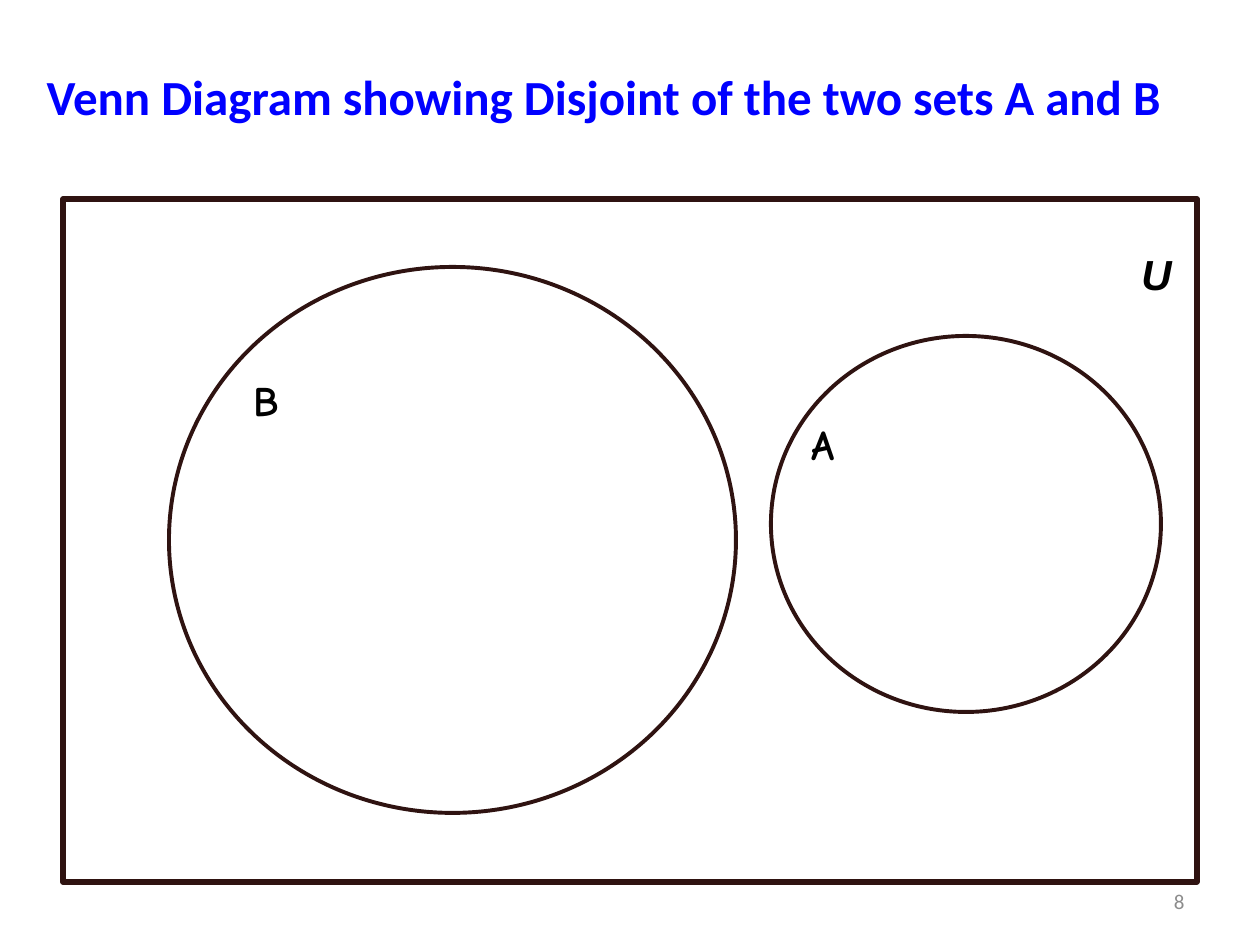
from pptx import Presentation
from pptx.dml.color import RGBColor
from pptx.enum.shapes import MSO_SHAPE
from pptx.enum.text import MSO_ANCHOR, PP_ALIGN
from pptx.util import Emu, Pt

RECT, OVAL = MSO_SHAPE.RECTANGLE, MSO_SHAPE.OVAL
LEFT, CENTER, RIGHT = PP_ALIGN.LEFT, PP_ALIGN.CENTER, PP_ALIGN.RIGHT
TOP, MIDDLE = MSO_ANCHOR.TOP, MSO_ANCHOR.MIDDLE

PX = 914400 // 126
SLIDE = (1260, 945)

THEME = {
    "title": {"font": "Calibri", "size": 28, "color": "0000FF", "bold": True},
    "set": {"font": "Comic Neue", "size": 24, "color": "000000", "bold": True},
    "universe": {"font": "Arial", "size": 24, "color": "000000", "bold": True, "italic": True},
    "number": {"font": "Calibri", "size": 12, "color": "8C8C8C"},
    "outline": "2F1311",
}

# Boxes are (left, top, width, height) in px
TITLE = ("Venn Diagram showing Disjoint of the two sets A and B ", (21, 21, 1176, 158))
OUTLINES = [
    (RECT, (63, 199, 1134, 683), 3),       # universe
    (OVAL, (169, 267, 567, 546), 2.25),    # set B
    (OVAL, (771, 336, 390, 376), 2.25),    # set A
]
LABELS = [
    ("A", (799, 418, 88, 81), "set", {"spacing": 0.9}),
    ("B", (241, 374, 96, 67), "set", {"spacing": 0.9}),
    ("U", (1129, 242, 68, 64), "universe", {"wrap": False}),
    ("8", (903, 876, 294, 50), "number", {"align": RIGHT, "anchor": MIDDLE}),
]


def emu(box):
    return [Emu(v * PX) for v in box]


def write(sp, text, style, align=LEFT, anchor=TOP, spacing=1.0, wrap=True):
    tf = sp.text_frame
    tf.word_wrap = wrap
    tf.vertical_anchor = anchor
    p = tf.paragraphs[0]
    p.alignment = align
    p.line_spacing = spacing
    r = p.add_run()
    r.text = text
    look = THEME[style]
    r.font.name = look["font"]
    r.font.size = Pt(look["size"])
    r.font.bold = look.get("bold", False)
    r.font.italic = look.get("italic", False)
    r.font.color.rgb = RGBColor.from_string(look["color"])


def add_outline(s, kind, box, weight):
    sp = s.shapes.add_shape(kind, *emu(box))
    sp.shadow.inherit = False
    sp.fill.background()
    sp.line.color.rgb = RGBColor.from_string(THEME["outline"])
    sp.line.width = Pt(weight)


def main():
    prs = Presentation()
    prs.slide_width, prs.slide_height = emu(SLIDE)
    s = prs.slides.add_slide(prs.slide_layouts[5])

    text, box = TITLE
    title = s.shapes.title
    title.left, title.top, title.width, title.height = emu(box)
    write(title, text, "title", align=CENTER, anchor=MIDDLE, spacing=0.9)

    for kind, box, weight in OUTLINES:
        add_outline(s, kind, box, weight)
    for text, box, style, options in LABELS:
        write(s.shapes.add_textbox(*emu(box)), text, style, **options)

    prs.save("out.pptx")


if __name__ == "__main__":
    main()
